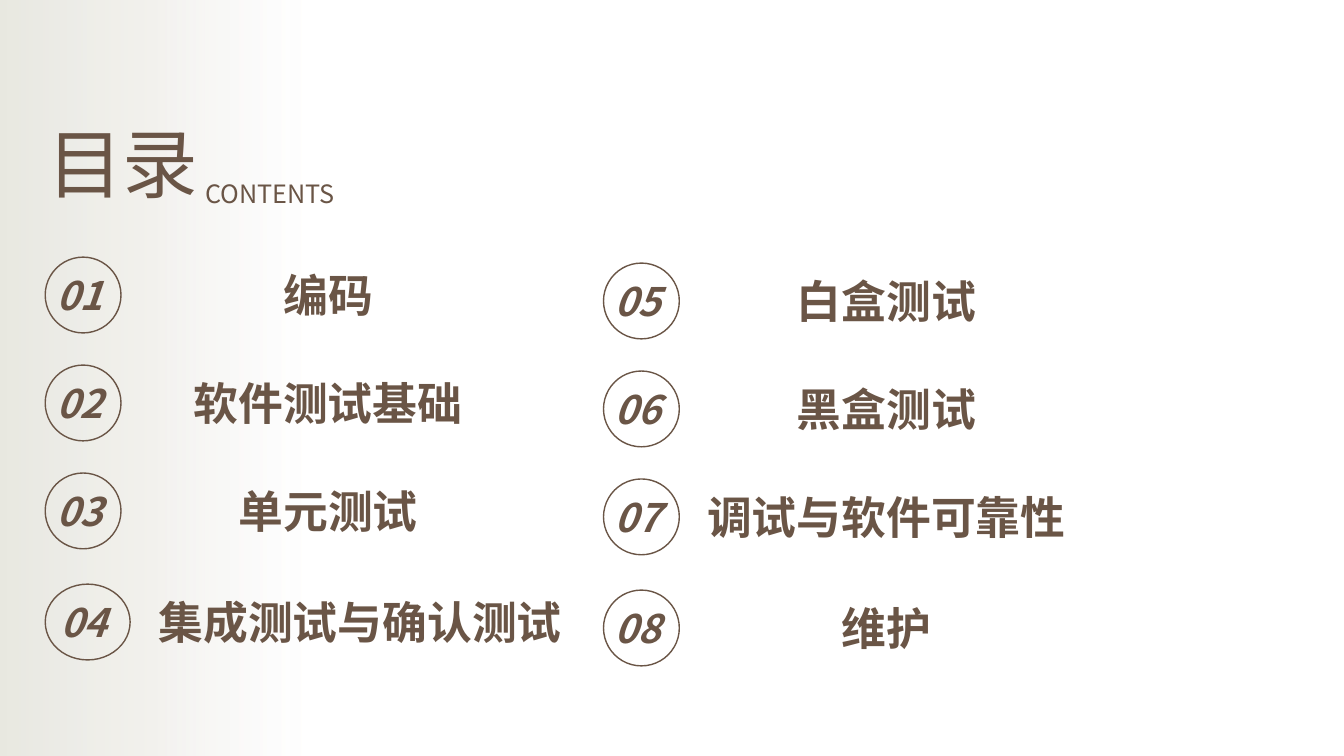
from lxml import etree
from pptx import Presentation
from pptx.dml.color import RGBColor
from pptx.enum.shapes import MSO_SHAPE
from pptx.enum.text import MSO_ANCHOR, MSO_AUTO_SIZE, PP_ALIGN
from pptx.oxml import parse_xml
from pptx.oxml.ns import nsdecls, qn
from pptx.util import Cm, Pt

RECT, OVAL = MSO_SHAPE.RECTANGLE, MSO_SHAPE.OVAL
LEFT, CENTER = PP_ALIGN.LEFT, PP_ALIGN.CENTER
TOP, FIXED = MSO_ANCHOR.TOP, MSO_AUTO_SIZE.NONE
BROWN = RGBColor(0x6A, 0x55, 0x46)
SAND = RGBColor(0xE7, 0xE7, 0xDF)
MIST = RGBColor(0xF0, 0xEF, 0xEB)
WHITE = RGBColor(0xFF, 0xFF, 0xFF)
FONT = "Noto Sans CJK SC"

# Position, colour and opacity, in percent
FADE = [(0, SAND, 94), (26, MIST, 85), (52, WHITE, 64),
        (77, WHITE, 56), (99, WHITE, 0)]
COLUMNS = [
    (1.14, 6.48, ["编码", "软件测试基础", "单元测试", "集成测试与确认测试"]),
    (15.21, 6.63, ["白盒测试", "黑盒测试", "调试与软件可靠性", "维护"]),
]
ROW_STEPS = [0, 2.72, 5.44, 8.24]
CIRCLE = 1.91
LABEL_WIDTH = 9.68
LAST_STRETCH = 1.12  # the long label of item 04 widens its whole row


class ContentsSlide:
    """Holds the style and the current slide, and draws its elements."""

    def __init__(self, prs):
        """Add a slide with a title."""
        self.s = prs.slides.add_slide(prs.slide_layouts[5])

    def place(self, sp, x, y, w, h):
        """Move and size a shape, in centimetres."""
        sp.left, sp.top, sp.width, sp.height = Cm(x), Cm(y), Cm(w), Cm(h)

    def add_run(self, sp, text, size, align=LEFT, strong=False, slant=False):
        """Put one formatted run into a shape."""
        tf = sp.text_frame
        tf.word_wrap, tf.auto_size, tf.vertical_anchor = True, FIXED, TOP
        p = tf.paragraphs[0]
        p.alignment, p.line_spacing = align, 1.0
        r = p.add_run()
        r.text = text
        f = r.font
        f.name, f.size, f.bold, f.italic = FONT, Pt(size), strong, slant
        f.color.rgb = BROWN
        ea = etree.Element(qn("a:ea"), typeface=FONT)
        f._element.find(qn("a:latin")).addnext(ea)

    def title(self, text, x, y, w, h):
        """Fill the title placeholder."""
        sp = self.s.shapes.title
        self.place(sp, x, y, w, h)
        self.add_run(sp, text, 54)

    def text(self, shapes, text, x, y, w, h, size, **style):
        """Add a text box to a slide or group."""
        sp = shapes.add_textbox(Cm(x), Cm(y), Cm(w), Cm(h))
        self.add_run(sp, text, size, **style)

    def circle(self, shapes, x, y, w, h):
        """Add an outlined oval to a slide or group."""
        sp = shapes.add_shape(OVAL, Cm(x), Cm(y), Cm(w), Cm(h))
        sp.shadow.inherit = False
        sp.fill.background()
        sp.line.color.rgb, sp.line.width = BROWN, Pt(1)

    def fade(self, w, h):
        """Add the side fade behind everything else."""
        sp = self.s.shapes.add_shape(RECT, 0, 0, Cm(w), Cm(h))
        sp.shadow.inherit = False
        sp.line.fill.background()
        stops = "".join(
            f'<a:gs pos="{pos * 1000}"><a:srgbClr val="{rgb}">'
            f'<a:alpha val="{alpha * 1000}"/></a:srgbClr></a:gs>'
            for pos, rgb, alpha in FADE)
        grad = parse_xml(f'<a:gradFill {nsdecls("a")} rotWithShape="1"><a:gsLst>'
                         f'{stops}</a:gsLst><a:lin ang="0"/></a:gradFill>')
        sp.element.spPr.find(qn("a:prstGeom")).addnext(grad)
        self.s.shapes.element.insert(2, sp.element)

    def item(self, number, label, x, y, stretch):
        """Add a grouped entry: label, number and circle."""
        shapes = self.s.shapes.add_group_shape().shapes
        w = CIRCLE * stretch
        self.text(shapes, label, x + w + 0.38, y + 0.15,
                  LABEL_WIDTH * stretch, 1.63, 32, align=CENTER, strong=True)
        self.text(shapes, f"{number:02}", x - 0.2, y + 0.23, w + 0.2, 1.45,
                  28, align=CENTER, strong=True, slant=True)
        self.circle(shapes, x, y, w, CIRCLE)


prs = Presentation()
prs.slide_width, prs.slide_height = Cm(33.87), Cm(19.05)
contents = ContentsSlide(prs)
contents.fade(14.76, 19.05)
contents.title("目录", 0.94, 2.82, 5, 2.57)
contents.text(contents.s.shapes, "CONTENTS", 4.93, 4.37, 5, 1.02, 18)
number = 0
for x, top, labels in COLUMNS:
    for step, label in zip(ROW_STEPS, labels):
        number += 1
        stretch = LAST_STRETCH if number == 4 else 1
        contents.item(number, label, x, top + step, stretch)
prs.save("out.pptx")
